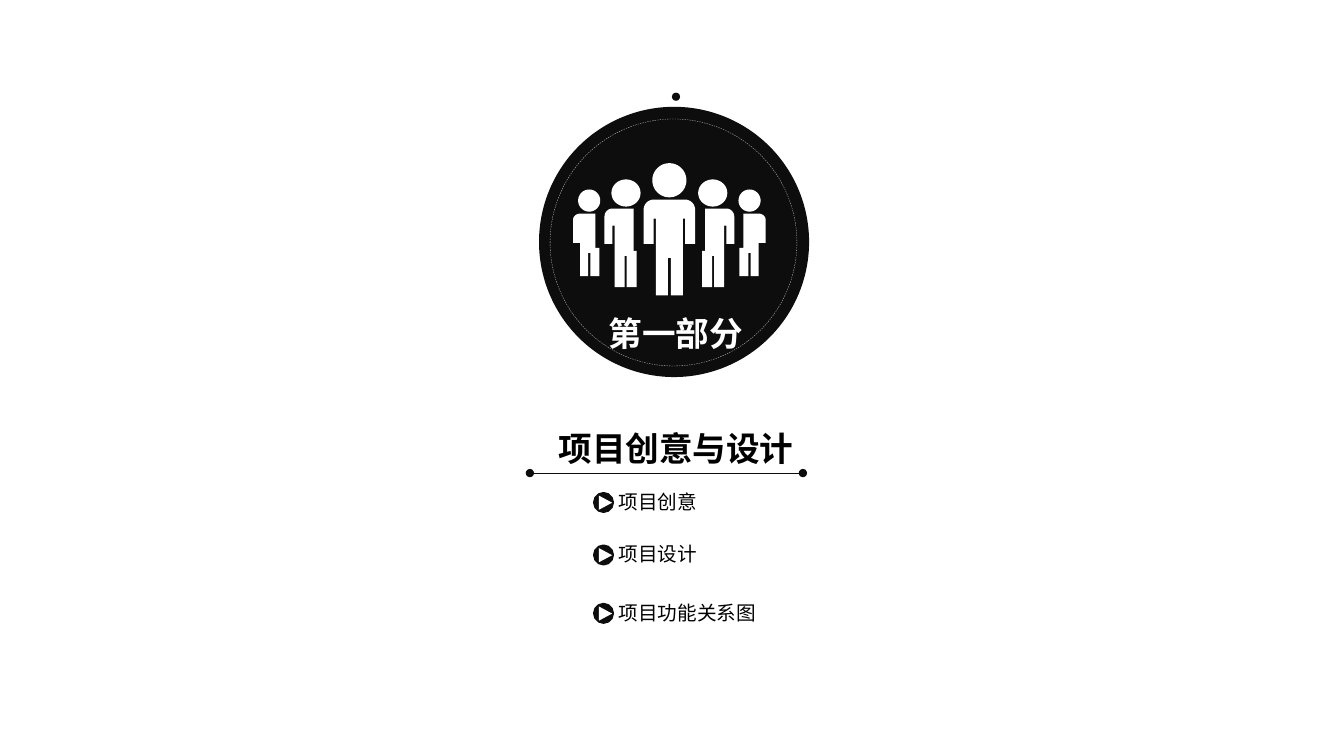
from dataclasses import dataclass
from math import cos, pi, sin

from lxml.etree import SubElement
from pptx import Presentation
from pptx.dml.color import RGBColor
from pptx.enum.dml import MSO_LINE_DASH_STYLE as Dash
from pptx.enum.shapes import MSO_CONNECTOR as Connector
from pptx.enum.shapes import MSO_SHAPE as Preset
from pptx.enum.text import MSO_ANCHOR as Anchor
from pptx.enum.text import PP_ALIGN as Align
from pptx.oxml.ns import qn
from pptx.shapes.autoshape import Shape
from pptx.shapes.shapetree import _BaseGroupShapes as Shapes
from pptx.util import Pt

Point = tuple[float, float]
Outline = list[Point]


@dataclass(frozen=True)
class Theme:
    ink: RGBColor = RGBColor(0x0D, 0x0D, 0x0D)
    text: RGBColor = RGBColor(0, 0, 0)
    paper: RGBColor = RGBColor(0xFF, 0xFF, 0xFF)
    ring: RGBColor = RGBColor(0xBF, 0xBF, 0xBF)
    font: str = "Noto Sans CJK SC"
    heading_size: float = 24
    item_size: float = 14


@dataclass(frozen=True)
class Box:
    left: float
    top: float
    width: float
    height: float

    def lengths(self) -> list[int]:
        return [Pt(value) for value in (self.left, self.top, self.width, self.height)]


@dataclass(frozen=True)
class Item:
    text: str
    top: float
    width: float


@dataclass(frozen=True)
class Person:
    head: Box
    legs_and_arm: Outline
    torso: Outline
    symmetric: bool = False


THEME = Theme()
AXIS = 478.4
ITEM_LEFT = 442.1
ITEMS = [
    Item("项目创意", 349.9, 96.5),
    Item("项目设计", 387.4, 96.5),
    Item("项目功能关系图", 429.1, 116.6),
]
PEOPLE = [
    Person(
        Box(-65.2, 135.4, 15.8, 15.8),
        [(-50, 177.1), (-50, 197.3), (-56.5, 197.3), (-56.5, 180.7), (-58, 180.7),
         (-58, 197.3), (-63.7, 197.3), (-63.7, 173.5), (-68.8, 173.5), (-68.8, 157)],
        [(-63.7, 152.6), (-52.9, 152.6), (-52.9, 177.1)],
    ),
    Person(
        Box(-41.4, 128.2, 20.8, 19.4),
        [(-23.4, 179.3), (-23.4, 205.2), (-30.6, 205.2), (-30.6, 182.9), (-32, 182.9),
         (-32, 205.2), (-39.2, 205.2), (-39.2, 161.3), (-40.7, 161.3), (-40.7, 174.2),
         (-46.4, 174.2), (-46.4, 154.8)],
        [(-40.7, 149), (-25.6, 149), (-25.6, 179.3)],
    ),
    Person(
        Box(-12.2, 116.6, 24.4, 24.4),
        [(-1, 184.3), (-1, 211), (-9.7, 211), (-9.7, 156.2), (-11.2, 156.2),
         (-11.2, 174.2), (-18.4, 174.2), (-18.4, 149.8)],
        [(-11.2, 142.6)],
        symmetric=True,
    ),
]


def apply_format(target: object, values: dict[str, object]) -> None:
    for name, value in values.items():
        setattr(target, name, value)


def paint(shape: Shape, fill: RGBColor | None) -> Shape:
    shape.shadow.inherit = False
    shape.line.fill.background()
    if fill is None:
        shape.fill.background()
    else:
        shape.fill.solid()
        shape.fill.fore_color.rgb = fill
    return shape


def add_preset(shapes: Shapes, preset: Preset, box: Box, fill: RGBColor | None) -> Shape:
    return paint(shapes.add_shape(preset, *box.lengths()), fill)


def add_text(shapes: Shapes, text: str, box: Box, color: RGBColor, size: float,
             frame_format: dict[str, object], bold: bool = False,
             align: Align = Align.LEFT) -> None:
    frame = shapes.add_textbox(*box.lengths()).text_frame
    apply_format(frame, {"word_wrap": True, **frame_format})
    paragraph = frame.paragraphs[0]
    paragraph.alignment = align
    run = paragraph.add_run()
    run.text = text
    apply_format(run.font, {"name": THEME.font, "size": Pt(size), "bold": bold})
    run.font.color.rgb = color
    SubElement(run.font._element, qn("a:ea"), typeface=THEME.font)


def add_heading(shapes: Shapes, text: str, top: float, color: RGBColor) -> None:
    add_text(shapes, text, Box(389.5, top, 187.2, 37.4), color, THEME.heading_size,
             {"vertical_anchor": Anchor.MIDDLE}, bold=True, align=Align.CENTER)


def add_item(shapes: Shapes, item: Item) -> None:
    group = shapes.add_group_shape().shapes
    margins = ("margin_left", "margin_top", "margin_right", "margin_bottom")
    add_text(group, item.text, Box(ITEM_LEFT, item.top, item.width, 17.3), THEME.text,
             THEME.item_size, dict.fromkeys(margins, 0))
    bullet = add_preset(group, Preset.OVAL, Box(ITEM_LEFT - 17.3, item.top + 2.5, 13, 13), THEME.ink)
    bullet.line.color.rgb = THEME.ink
    bullet.line.width = Pt(2)
    arrow = Box(ITEM_LEFT - 14.4, item.top + 4.5, 10.1, 9.4)
    add_preset(group, Preset.ISOSCELES_TRIANGLE, arrow, THEME.paper).rotation = 90


def mirror(outline: Outline) -> Outline:
    return [(-x, y) for x, y in reversed(outline)]


def head_outline(box: Box, steps: int = 48) -> Outline:
    angles = [2 * pi * step / steps for step in range(steps)]
    return [(box.left + box.width * (1 + cos(angle)) / 2,
             box.top + box.height * (1 + sin(angle)) / 2) for angle in angles]


def body_outline(person: Person, steps: int = 8) -> Outline:
    arm_x, arm_y = person.legs_and_arm[-1]
    neck_x, neck_y = person.torso[0]
    angles = [pi / 2 * step / steps for step in range(1, steps)]
    shoulder = [(neck_x - (neck_x - arm_x) * cos(angle),
                 arm_y - (arm_y - neck_y) * sin(angle)) for angle in angles]
    outline = person.legs_and_arm + shoulder + person.torso
    return outline + mirror(outline) if person.symmetric else outline


def add_people(shapes: Shapes) -> None:
    outlines: list[Outline] = []
    for person in PEOPLE:
        parts = [head_outline(person.head), body_outline(person)]
        outlines += parts if person.symmetric else parts + [mirror(part) for part in parts]
    contours = [[(Pt(AXIS + x), Pt(y)) for x, y in outline] for outline in outlines]
    builder = shapes.build_freeform(*contours[0][0], scale=1.0)
    for index, (start, *rest) in enumerate(contours):
        if index:
            builder.move_to(*start)
        builder.add_line_segments(rest, close=True)
    paint(builder.convert_to_shape(), THEME.paper)


def add_ring(shapes: Shapes) -> None:
    ring = add_preset(shapes, Preset.OVAL, Box(393.1, 85, 176.4, 176.4), None)
    ring.line.color.rgb = THEME.ring
    apply_format(ring.line, {"width": Pt(0.25), "dash_style": Dash.DASH})


def add_divider(shapes: Shapes) -> None:
    ends = [Pt(value) for value in (378.7, 337.9, 573.8, 337.9)]
    divider = shapes.add_connector(Connector.STRAIGHT, *ends)
    divider.line.color.rgb = THEME.ink
    divider.line.width = Pt(0.75)
    for end in ("a:headEnd", "a:tailEnd"):
        SubElement(divider.line._get_or_add_ln(), qn(end), type="oval")
    SubElement(divider._element.spPr, qn("a:effectLst"))


def main() -> None:
    presentation = Presentation()
    apply_format(presentation, {"slide_width": Pt(960.48), "slide_height": Pt(540)})
    slide = presentation.slides.add_slide(presentation.slide_layouts[6])
    shapes = slide.shapes
    add_preset(shapes, Preset.OVAL, Box(385.2, 76.3, 193, 193), THEME.ink)
    for item in ITEMS:
        add_item(shapes, item)
    add_heading(shapes, "项目创意与设计", 301, THEME.text)
    add_preset(shapes, Preset.OVAL, Box(480.2, 66.2, 5.8, 5.8), THEME.ink)
    add_heading(shapes, "第一部分", 218.9, THEME.paper)
    add_people(shapes)
    add_ring(shapes)
    add_divider(shapes)
    presentation.save("out.pptx")


if __name__ == "__main__":
    main()
